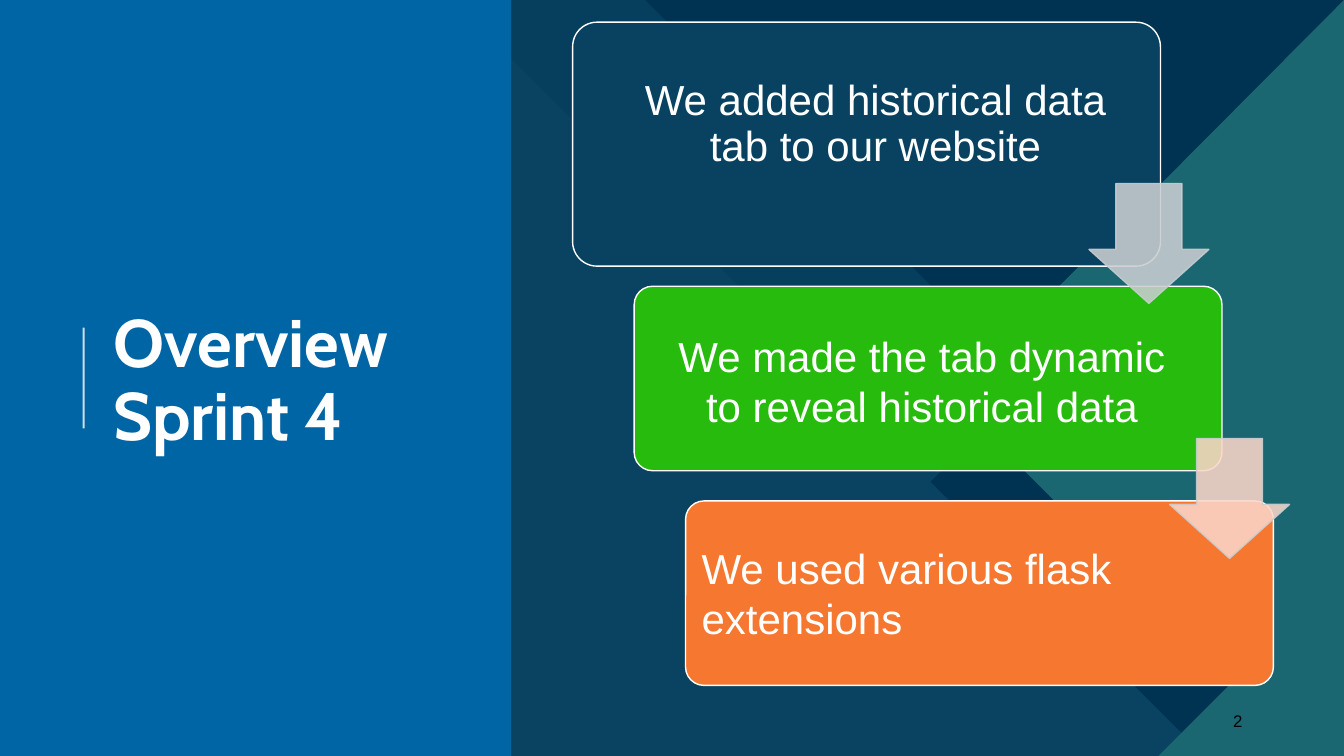
import pptx
import pptx.util
import pptx.dml.color
import pptx.enum.shapes
import pptx.enum.text
import pptx.oxml
import pptx.oxml.ns

Inches = pptx.util.Inches
KIND = pptx.enum.shapes.MSO_SHAPE
ALIGN = pptx.enum.text.PP_ALIGN
WIDE, HIGH = 13.33, 7.5
WHITE, NAVY, TEAL, SILVER = "FFFFFF", "003252", "1B6771", "C9CDD1"

# Diagonal bands behind the steps, from back to front
BANDS = [
    ("063F5D", [(4.49, 0), (WIDE, 0), (WIDE, HIGH), (13.25, HIGH), (8.72, 2.97), (7.46, 2.97)]),
    (NAVY, [(6.4, 0), (WIDE, 0), (WIDE, 6.93)]),
    (NAVY, [(WIDE, 0.68), (WIDE, HIGH), (11.95, HIGH), (9.23, 4.78)]),
    (TEAL, [(WIDE, 0), (WIDE, HIGH), (12.99, HIGH), (9.42, 3.93)]),
    (NAVY, [(WIDE, 6.14), (WIDE, HIGH), (11.97, HIGH)]),
    (TEAL, [(WIDE, 5.66), (WIDE, HIGH), (11.49, HIGH)]),
]

# Card box, fill, text box, words, paragraph format
STEPS = [
    ((5.68, 0.22, 5.83, 2.42), "094260", (6.2, 0.38, 4.97, 1.72),
     "We added historical data tab to our website",
     {"alignment": ALIGN.CENTER, "line_spacing": 0.9, "space_before": pptx.util.Pt(10)}),
    ((6.29, 2.84, 5.83, 1.83), "27BB0D", (6.44, 2.7, 5.41, 2.15),
     "We made the tab dynamic to reveal historical data",
     {"alignment": ALIGN.CENTER}),
    ((6.8, 4.97, 5.83, 1.83), "F67730", (6.86, 5.02, 4.75, 1.72),
     "We used various flask extensions",
     {"alignment": ALIGN.LEFT}),
]
ARROWS = [((10.8, 1.82), SILVER), ((11.6, 4.35), "FAD5C8")]


def paint(fmt, hue, alpha=100):
    """Give a fill a solid colour, see-through below 100 percent."""
    fmt.solid()
    fmt.fore_color.rgb = pptx.dml.color.RGBColor.from_string(hue)
    if alpha < 100:
        node = fmt._xPr.find(".//" + pptx.oxml.ns.qn("a:srgbClr"))
        part = pptx.oxml.parse_xml(
            f'<a:alpha {pptx.oxml.ns.nsdecls("a")} val="{alpha * 1000}"/>')
        node.append(part)


def style(shape, hue, edge=None, alpha=100):
    shape.shadow.inherit = False
    paint(shape.fill, hue, alpha)
    if edge:
        paint(shape.line.fill, edge, alpha)
        shape.line.width = pptx.util.Pt(1)
    else:
        shape.line.fill.background()


def block(slide, kind, box, hue, edge=None, adjust=(), alpha=100):
    shape = slide.shapes.add_shape(kind, *map(Inches, box))
    for spot, value in enumerate(adjust):
        shape.adjustments[spot] = value
    style(shape, hue, edge, alpha)


def write(slide, box, words, font, hue=WHITE, form=None, pad=0.05):
    frame = slide.shapes.add_textbox(*map(Inches, box)).text_frame
    look = {"word_wrap": True, "vertical_anchor": pptx.enum.text.MSO_ANCHOR.MIDDLE,
            "margin_left": Inches(0.1), "margin_right": Inches(0.1),
            "margin_top": Inches(pad), "margin_bottom": Inches(pad)}
    para = frame.paragraphs[0]
    para.text = words
    for item, values in ((frame, look), (para, form or {})):
        for name, value in values.items():
            setattr(item, name, value)
    for run in para.runs:
        for name, value in font.items():
            setattr(run.font, name, value)
        paint(run.font.fill, hue)


def backdrop(slide):
    paint(slide.background.fill, "094361")
    for hue, points in BANDS:
        spots = [(Inches(x), Inches(y)) for x, y in points]
        path = slide.shapes.build_freeform(*spots[0])
        path.add_line_segments(spots[1:], close=True)
        style(path.convert_to_shape(), hue)


def panel(slide, left, top, width, height):
    """Blue side panel with the title and its rule."""
    block(slide, KIND.RECTANGLE, (left, top, width, height), "0065A4")
    write(slide, (left + 1.03, top + 0.78, 3.69, 6.02), "Overview\vSprint 4",
          {"name": "Cabin", "size": pptx.util.Pt(48), "bold": True},
          form={"line_spacing": 0.9})
    x = Inches(left + 0.83)
    rule = slide.shapes.add_connector(
        pptx.enum.shapes.MSO_CONNECTOR.STRAIGHT, x, Inches(top + 4.25), x, Inches(top + 3.25))
    paint(rule.line.fill, WHITE, 80)
    rule.line.width = pptx.util.Pt(1.5)
    rule._element.spPr.append(
        pptx.oxml.parse_xml(f'<a:effectLst {pptx.oxml.ns.nsdecls("a")}/>'))


def steps(slide):
    font = {"name": "Arial", "size": pptx.util.Pt(30)}
    for card, hue, area, words, form in STEPS:
        block(slide, KIND.ROUNDED_RECTANGLE, card, hue, WHITE, (0.1,))
        write(slide, area, words, font, form=form, pad=0.1)
    for spot, hue in ARROWS:
        block(slide, KIND.DOWN_ARROW, (*spot, 1.19, 1.19), hue, SILVER, (0.55, 0.45), 88)


def main():
    deck = pptx.Presentation()
    deck.slide_width, deck.slide_height = Inches(WIDE), Inches(HIGH)
    slide = deck.slides.add_slide(deck.slide_layouts[6])
    backdrop(slide)
    panel(slide, 0, 0, 5.07, HIGH)
    write(slide, (9.42, 6.95, 3, 0.4), "2", {"name": "Arial", "size": pptx.util.Pt(12)},
          "000000", {"alignment": ALIGN.RIGHT})
    steps(slide)
    deck.save("out.pptx")


if __name__ == "__main__":
    main()
